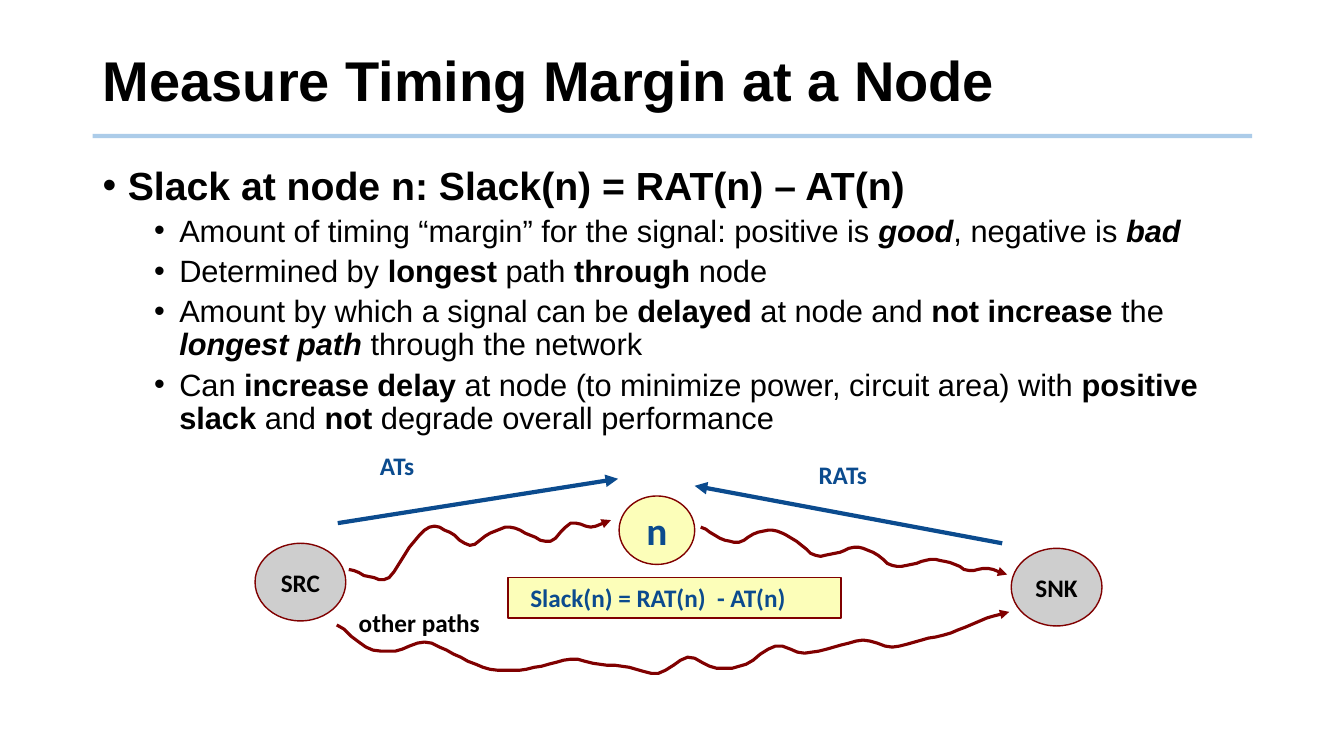
"""Build the slide on timing slack at a node."""
from lxml.etree import SubElement
from pptx import Presentation
from pptx.dml.color import RGBColor
from pptx.enum.shapes import MSO_CONNECTOR, MSO_SHAPE
from pptx.enum.text import MSO_ANCHOR, MSO_AUTO_SIZE, PP_ALIGN
from pptx.oxml.ns import qn
from pptx.util import Inches, Pt

STRAIGHT = MSO_CONNECTOR.STRAIGHT
OVAL, BOX = MSO_SHAPE.OVAL, MSO_SHAPE.RECTANGLE
TOP, MIDDLE = MSO_ANCHOR.TOP, MSO_ANCHOR.MIDDLE
LEFT, CENTER = PP_ALIGN.LEFT, PP_ALIGN.CENTER
NO_FIT = MSO_AUTO_SIZE.NONE

CELL = Inches(0.01)
MARGIN, CONTENT_WIDTH = 92, 1150
CURVE_STEPS = 4
LEVELS = [{"size": 28, "indent": 0.25, "gap": 10},
          {"size": 22, "indent": 0.76, "gap": 5}]
COLORS = {"ink": "000000", "rule": "5B9BD5", "terminal": "CECECE",
          "highlight": "FCFEB9", "path": "800000", "timing": "0B4B8E"}

POINTS = [
    (0, [("Slack at node n: Slack(n) = RAT(n) – AT(n)", "b")]),
    (1, [("Amount of timing “margin” for the signal: positive is ", ""),
         ("good", "bi"), (", negative is ", ""), ("bad", "bi")]),
    (1, [("Determined by ", ""), ("longest ", "b"), ("path ", ""),
         ("through ", "b"), ("node", "")]),
    (1, [("Amount by which a signal can be ", ""), ("delayed ", "b"),
         ("at node and ", ""), ("not increase ", "b"), ("the ", ""),
         ("longest path", "bi"), (" through the network", "")]),
    (1, [("Can ", ""), ("increase delay", "b"),
         (" at node (to minimize power, circuit area) with ", ""),
         ("positive slack", "b"), (" and ", ""), ("not", "b"),
         (" degrade overall performance", "")]),
]
NODES = [("SRC", (253, 539, 90, 77), "terminal", 18, "ink"),
         ("SNK", (1003, 544, 90, 77), "terminal", 18, "ink"),
         ("n", (614, 492, 75, 68), "highlight", 28, "timing")]
LABELS = [("other paths", (346, 598, 210, 54), "ink"),
          ("ATs", (367, 442, 91, 54), "timing"),
          ("RATs", (802, 451, 115, 54), "timing")]
TIMING_ARROWS = {"arrival": (335, 519, 613, 475),
                 "required": (994, 539, 689, 482)}
SIGNAL_PATHS = {
    "source to node": {
        "start": 346, "end": 606,
        "rows": [565, 572, 573, 543, 523, 528, 541, 529, 523, 531, 537, 519,
                 523, 516]},
    "node to sink": {
        "start": 695, "end": 999,
        "rows": [523, 534, 538, 528, 527, 537, 551, 549, 543, 548, 561, 560,
                 555, 558, 566, 564, 570]},
    "around the node": {
        "start": 334, "end": 1001,
        "rows": [620, 642, 646, 637, 649, 662, 665, 661, 654, 659, 662, 668,
                 652, 663, 659, 641, 648, 642, 635, 642, 635, 628, 616, 607]},
}


def cells(*counts):
    """Turn counts of grid cells into lengths."""
    return [count * CELL for count in counts]


def rgb(name):
    """Look up a named colour."""
    return RGBColor.from_string(COLORS[name])


def curve_height(before, here, after, beyond, share):
    """Return the Catmull-Rom height at a share of the way to the next row."""
    slope = after - before
    bend = 2 * before - 5 * here + 4 * after - beyond
    twist = 3 * here - before - 3 * after + beyond
    return here + share * (slope + share * (bend + share * twist)) / 2


def trace_wave(start, end, rows):
    """Join equally spaced heights by a smooth curve of grid points."""
    spacing = (end - start) / (len(rows) - 1)
    padded = [rows[0], *rows, rows[-1]]
    wave = []
    for index, window in enumerate(zip(padded, padded[1:], padded[2:], padded[3:])):
        for step in range(CURVE_STEPS):
            share = step / CURVE_STEPS
            wave.append((start + (index + share) * spacing,
                         curve_height(*window, share)))
    return wave + [(end, rows[-1])]


def add_run(paragraph, words, size, face="Arial", color="ink", style="b"):
    """Append one formatted run."""
    run = paragraph.add_run()
    run.text = words
    run.font.name, run.font.size = face, Pt(size)
    run.font.bold, run.font.italic = "b" in style, "i" in style
    run.font.color.rgb = rgb(color)


def set_frame(frame, anchor=TOP, wrap=True):
    """Fix wrapping, fitting and anchoring of a text frame."""
    frame.word_wrap, frame.auto_size = wrap, NO_FIT
    frame.vertical_anchor = anchor


def set_stroke(shape, color, width, arrow=False):
    """Colour an outline, with an arrowhead at its end if asked."""
    shape.line.color.rgb = rgb(color)
    shape.line.width = Pt(width)
    if arrow:
        SubElement(shape._element.spPr.find(qn("a:ln")), qn("a:tailEnd"), type="triangle")


def add_title(slide, words):
    """Place the title in its placeholder."""
    title = slide.shapes.title
    title.left, title.top, title.width, title.height = cells(
        MARGIN, 28, CONTENT_WIDTH, 110)
    set_frame(title.text_frame, MIDDLE)
    heading = title.text_frame.paragraphs[0]
    heading.alignment, heading.line_spacing = LEFT, 0.9
    add_run(heading, words, 40)


def set_bullet(point, indent):
    """Give a paragraph a hanging bullet."""
    properties = point._p.get_or_add_pPr()
    properties.set("marL", str(Inches(indent)))
    properties.set("indent", str(Inches(-0.25)))
    SubElement(properties, qn("a:buFont"), typeface="Arial")
    SubElement(properties, qn("a:buChar"), char="•")


def add_points(slide, points):
    """Write the bulleted explanation."""
    frame = slide.shapes.add_textbox(*cells(MARGIN, 160, CONTENT_WIDTH, 290)).text_frame
    set_frame(frame)
    for index, (depth, runs) in enumerate(points):
        level = LEVELS[depth]
        point = frame.add_paragraph() if index else frame.paragraphs[0]
        point.level, point.line_spacing = depth, 0.9
        point.space_before = Pt(level["gap"])
        set_bullet(point, level["indent"])
        for words, style in runs:
            add_run(point, words, level["size"], style=style)


def add_line(slide, ends, color, arrow=False):
    """Draw a straight line between two grid points."""
    line = slide.shapes.add_connector(STRAIGHT, *cells(*ends))
    set_stroke(line, color, 3, arrow)
    SubElement(line._element.spPr, qn("a:effectLst"))
    return line


def add_title_rule(slide):
    """Draw the half-transparent rule under the title."""
    rule = add_line(slide, (MARGIN, 135, MARGIN + CONTENT_WIDTH, 135), "rule")
    SubElement(next(rule._element.iter(qn("a:srgbClr"))), qn("a:alpha"), val="50000")


def add_label(slide, words, area, color):
    """Write a short label beside the diagram."""
    frame = slide.shapes.add_textbox(*cells(*area)).text_frame
    set_frame(frame)
    add_run(frame.paragraphs[0], words, 18, "Calibri", color)


def add_block(slide, words, area, fill, size, color, kind=OVAL, inset=None):
    """Draw a filled node or box; an inset sets its text to the left."""
    block = slide.shapes.add_shape(kind, *cells(*area))
    block.shadow.inherit = False
    block.fill.solid()
    block.fill.fore_color.rgb = rgb(fill)
    set_stroke(block, "path", 1)
    set_frame(block.text_frame, MIDDLE, wrap=inset is not None)
    caption = block.text_frame.paragraphs[0]
    caption.alignment = CENTER if inset is None else LEFT
    if inset is not None:
        block.text_frame.margin_left = Inches(inset)
    add_run(caption, words, size, "Calibri", color)


def add_signal_path(slide, start, end, rows):
    """Draw a wandering arrow across the diagram."""
    origin, *wave = trace_wave(start, end, rows)
    builder = slide.shapes.build_freeform(*origin, scale=CELL)
    builder.add_line_segments(wave, close=False)
    signal = builder.convert_to_shape()
    signal.shadow.inherit = False
    signal.fill.background()
    set_stroke(signal, "path", 2.25, arrow=True)


def main():
    """Build and save the slide."""
    deck = Presentation()
    deck.slide_width, deck.slide_height = Inches(13.33), Inches(7.5)
    slide = deck.slides.add_slide(deck.slide_layouts[5])
    add_title_rule(slide)
    add_title(slide, "Measure Timing Margin at a Node")
    add_points(slide, POINTS)
    for node in NODES:
        add_block(slide, *node)
    for signal in SIGNAL_PATHS.values():
        add_signal_path(slide, **signal)
    for ends in TIMING_ARROWS.values():
        add_line(slide, ends, "timing", arrow=True)
    for label in LABELS:
        add_label(slide, *label)
    add_block(slide, "Slack(n) = RAT(n)  - AT(n)", (504, 573, 330, 40),
              "highlight", 18, "timing", kind=BOX, inset=0.22)
    deck.save("out.pptx")


if __name__ == "__main__":
    main()
